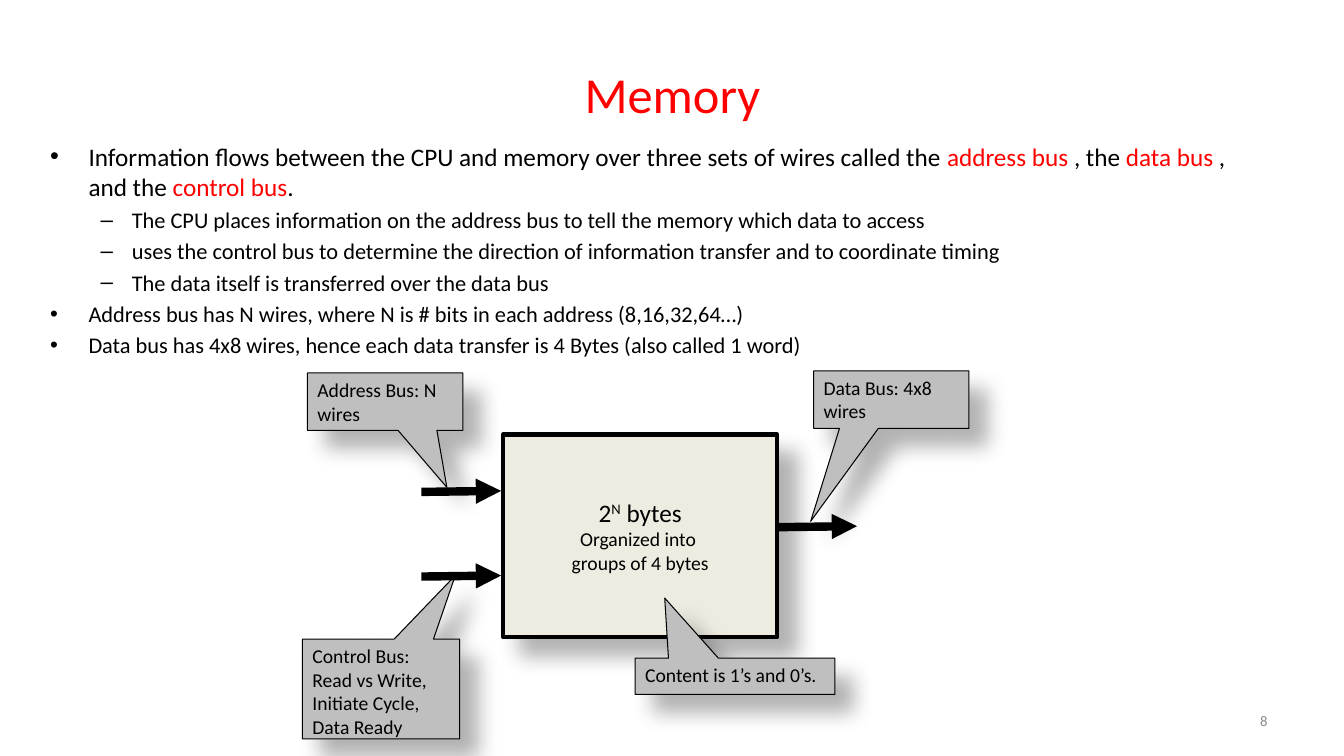
"""Build the Memory slide: bus bullets above a labelled memory block diagram."""
from lxml import etree
from pptx import Presentation, util as u
from pptx.dml.color import RGBColor
from pptx.enum import shapes, text
from pptx.oxml.ns import qn


def rgb(value):
    """Turn a hex string into a colour."""
    return RGBColor.from_string(value)


def write(tf, paragraphs, size, color="000000", align="LEFT", anchor="TOP", wrap=True):
    """Fill a text frame with paragraphs of (text, overrides) runs."""
    tf.word_wrap = wrap
    tf.vertical_anchor = text.MSO_ANCHOR[anchor]
    for i, runs in enumerate(paragraphs):
        p = tf.paragraphs[0] if i == 0 else tf.add_paragraph()
        p.alignment = text.PP_ALIGN[align]
        for words, changes in runs:
            style = {"size": size, "color": color, "baseline": 0, **changes}
            r = p.add_run()
            r.text = words
            for name, value in {"name": "Calibri", "size": u.Pt(style["size"])}.items():
                setattr(r.font, name, value)
            r.font.color.rgb = rgb(style["color"])
            if style["baseline"]:
                r.font._element.set("baseline", str(style["baseline"]))


prs = Presentation()
prs.slide_width, prs.slide_height = u.Inches(13.33), u.Inches(7.5)
s = prs.slides.add_slide(prs.slide_layouts[6])

labels = [
    ((0.67, 0.3, 12, 1.25), "Memory", 36, "FF0000", "CENTER"),
    ((9.56, 6.95, 3.11, 0.4), "8", 10.5, "8C8C8C", "RIGHT"),
]
for box, words, size, color, align in labels:
    tf = s.shapes.add_textbox(*map(u.Inches, box)).text_frame
    write(tf, [[(words, {})]], size, color, align, "MIDDLE")

red, large = {"size": 18, "color": "FF0000"}, {"size": 18}
bullets = [
    (0, [("Information flows between the CPU and memory over three sets of wires called the ", large),
         ("address bus ", red), (", the ", large), ("data bus ", red),
         (", and the ", large), ("control bus", red), (".", large)]),
    (1, [("The CPU places information on the address bus to tell the memory which data to access", {})]),
    (1, [("uses the control bus to determine the direction of information transfer and to coordinate timing", {})]),
    (1, [("The data itself is transferred over the data bus", {})]),
    (0, [("Address bus has N wires, where N is # bits in each address (8,16,32,64…)", {})]),
    (0, [("Data bus has 4x8 wires, hence each data transfer is 4 Bytes (also called 1 word)", {})]),
]
levels = [("•", 0.38, -0.38), ("–", 0.81, -0.31)]
tf = s.shapes.add_textbox(*map(u.Inches, (0.4, 1.35, 11.93, 2.56))).text_frame
write(tf, [runs for level, runs in bullets], 16)
for i, (p, (level, runs)) in enumerate(zip(tf.paragraphs, bullets)):
    mark, margin, indent = levels[level]
    pPr = p._p.get_or_add_pPr()
    pPr.set("marL", str(u.Inches(margin)))
    pPr.set("indent", str(u.Inches(indent)))
    etree.SubElement(pPr, qn("a:buFont")).set("typeface", "Arial")
    etree.SubElement(pPr, qn("a:buChar")).set("char", mark)
    p.level = level
    if i:
        p.space_before = u.Pt(3.2)

memory = [
    [("2", large), ("N", {"size": 18, "baseline": 30000}), (" bytes", large)],
    [("Organized into ", {})],
    [("groups of 4 bytes", {})],
]
callouts = [
    ((3.05, 3.7, 1.54, 0.57), (0.398, 1.493), ["Address Bus: N wires"]),
    ((8.07, 3.68, 1.54, 0.57), (-0.519, 2.118), ["Data Bus: 4x8 wires"]),
    ((6.3, 6.53, 1.98, 0.36), (-0.352, -2.157), ["Content is 1’s and 0’s."]),
    ((3, 6.34, 1.56, 0.99), (0.472, -1.138),
     ["Control Bus:", "Read vs Write,", "Initiate Cycle,", "Data Ready"]),
]
blocks = [("RECTANGLE", (4.99, 4.31, 2.72, 2.01), (), "EEECE1", 3, memory,
           {"align": "CENTER", "anchor": "MIDDLE", "wrap": False})]
blocks += [("RECTANGULAR_CALLOUT", box, tip, "BFBFBF", 0.75, [[(line, {})] for line in lines], {})
           for box, tip, lines in callouts]
for kind, box, tip, fill, width, paragraphs, layout in blocks:
    sp = s.shapes.add_shape(shapes.MSO_SHAPE[kind], *map(u.Inches, box))
    for i, value in enumerate(tip):
        sp.adjustments[i] = value
    sp.fill.solid()
    sp.fill.fore_color.rgb = rgb(fill)
    sp.line.color.rgb = rgb("000000")
    sp.line.width = u.Pt(width)
    sp.shadow.inherit = False
    shadow = etree.SubElement(sp._element.spPr.find(qn("a:effectLst")), qn("a:outerShdw"))
    for name, value in {"blurRad": u.Pt(15), "dist": u.Pt(18), "dir": 45 * 60000, "rotWithShape": 0}.items():
        shadow.set(name, str(value))
    tint = etree.SubElement(shadow, qn("a:srgbClr"))
    tint.set("val", "000000")
    etree.SubElement(tint, qn("a:alpha")).set("val", "30000")
    write(sp.text_frame, paragraphs, 14, **layout)

for x, y in [(4.18, 4.88), (7.71, 5.23), (4.18, 5.72)]:
    arrow = s.shapes.add_connector(shapes.MSO_CONNECTOR.STRAIGHT,
                                   *map(u.Inches, (x, y, x + 0.79, y - 0.01)))
    arrow.line.color.rgb = rgb("000000")
    arrow.line.width = u.Pt(6)
    etree.SubElement(arrow.line._get_or_add_ln(), qn("a:tailEnd")).set("type", "triangle")
    etree.SubElement(arrow._element.spPr, qn("a:effectLst"))

prs.save("out.pptx")
